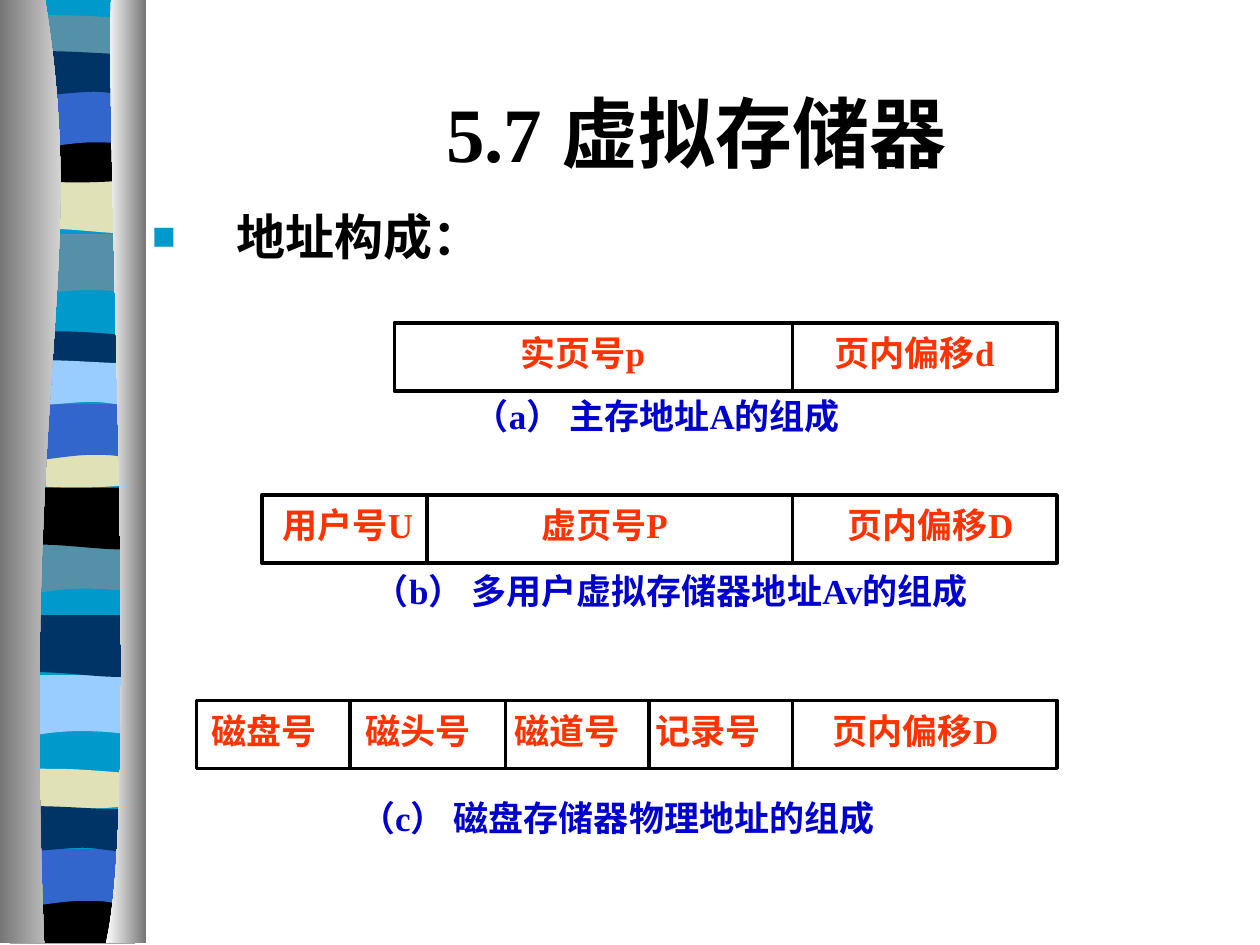
from dataclasses import dataclass

from lxml.etree import SubElement
from pptx import Presentation
from pptx.dml.color import RGBColor
from pptx.enum.shapes import MSO_CONNECTOR as Connector, MSO_SHAPE as Preset
from pptx.enum.text import MSO_ANCHOR as Anchor, PP_ALIGN as Align
from pptx.oxml.ns import qn
from pptx.util import Cm, Pt

COLOURS = {
    "white": "FFFFFF", "black": "000000", "grey": "767676",
    "cyan": "0099CC", "teal": "5490A8", "sand": "E1E1B7", "blue": "3366CC",
    "navy": "003366", "sky": "99CCFF", "label": "FF3300", "caption": "0000CC",
}
SERIF, SANS = "Times New Roman", "Arial"
PAGE_HEIGHT = 19.05
BAND_WIDTH = 2.52
ROW_RIGHT, ROW_HEIGHT = 21.31, 1.37
BOX_HEIGHT = 2.08

# Edge segments of (share of width, drop in cm): one point is a line, three a curve.
# Tops run left to right, bottoms right to left.
FLAT_TOP, FLAT_BOTTOM = (((1, 0),),), (((0, 0),),)
BOWL_TOP = (((0.62, 0.13), (0.79, 0), (1, 0)),)
SAG = (((0.83, 0.13), (0.17, 0.13), (0, 0)),)
EDGES = {
    "wave": (FLAT_TOP, (((0.31, -0.23), (0.17, 0.18), (0, 0)),)),
    "ripple": (FLAT_TOP, (((0.84, 0.18), (0.31, -0.15), (0, 0)),)),
    "lens": ((((0.06, -0.13), (0.21, -0.1), (0.38, -0.1)),
              ((0.56, -0.1), (0.87, -0.03), (1, 0))), SAG),
    "bowl": (BOWL_TOP, SAG),
    "base": (BOWL_TOP, FLAT_BOTTOM),
    "arch": (FLAT_TOP, (((0.85, -0.15), (0.78, -0.15), (0.62, -0.15)),
                        ((0.45, -0.15), (0.16, 0), (0, 0)))),
    "slab": ((((0.14, -0.13), (0.68, 0), (0.85, 0)), ((1.01, 0), (0.97, 0), (1, 0))),
             (((0.94, 0.15), (0.78, 0), (0.62, 0)), ((0.45, 0), (0.11, 0.15), (0, 0)))),
}


@dataclass
class Band:
    edge: str
    colour: str
    left: float
    top: float
    bottom: float


@dataclass
class Label:
    words: str
    left: float
    width: float
    inset: float = 0.25


@dataclass
class Row:
    left: float
    top: float
    dividers: tuple
    labels: tuple


@dataclass
class Caption:
    words: str
    left: float
    top: float
    width: float
    spacing: float = 1.0


BANDS = (
    Band("wave", "teal", 0.3, 4.72, 5.92),
    Band("ripple", "sand", 0.41, 3.43, 4.65),
    Band("lens", "teal", 0.41, 0.41, 1.02),
    Band("bowl", "black", 0.3, 2.74, 3.58),
    Band("arch", "blue", 0.3, 1.8, 3.02),
    Band("slab", "navy", 0.33, 1.09, 1.85),
    Band("wave", "teal", 0.2, 10.77, 11.94),
    Band("ripple", "black", 0.28, 9.83, 11.02),
    Band("lens", "navy", 0.28, 6.78, 7.39),
    Band("bowl", "sand", 0.28, 8.89, 9.73),
    Band("arch", "blue", 0.28, 8.15, 9.32),
    Band("slab", "sky", 0.28, 7.32, 8.1),
    Band("wave", "sky", 0.13, 13.61, 14.81),
    Band("ripple", "navy", 0.23, 12.4, 13.59),
    Band("lens", "sand", 0.2, 15.6, 16.21),
    Band("base", "black", 0.2, 18.08, 19.02),
    Band("arch", "blue", 0.1, 17.12, 18.31),
    Band("slab", "navy", 0.1, 16.31, 17.09),
)
ROWS = (
    Row(7.95, 6.51, (15.98,),
        (Label("实页号p", 10.24, 4.01), Label("页内偏移d", 16.58, 4.67))),
    Row(5.28, 9.98, (8.61, 15.98),
        (Label("用户号U", 5.13, 4.01, 0.57), Label("虚页号P", 10.34, 4.01, 0.57),
         Label("页内偏移D", 16.54, 4.67, 0.55))),
    Row(3.96, 14.12, (7.06, 10.19, 13.08, 15.98),
        (Label("磁盘号", 4.01, 3.33), Label("磁头号", 7.11, 3.33),
         Label("磁道号", 10.13, 3.33), Label("记录号", 12.96, 3.33),
         Label("页内偏移D", 16.54, 4.67))),
)
CAPTIONS = (
    Caption("（a） 主存地址A的组成", 9.3, 7.82, 9.35),
    Caption("（b） 多用户虚拟存储器地址Av的组成", 7.29, 11.35, 13.36),
    Caption("（c） 磁盘存储器物理地址的组成", 7.01, 15.5, 12.01, 1.5),
)


def rgb(name: str) -> RGBColor:
    return RGBColor.from_string(COLOURS[name])


def add_outline(page, start: tuple, segments: list, *colours: str):
    """Closed outline with a plain fill, or a left-to-right gradient of two colours."""
    builder = page.shapes.build_freeform(Cm(start[0]), Cm(start[1]))
    builder.add_line_segments([(Cm(x), Cm(y)) for segment in segments for x, y in segment],
                              close=True)
    shape = builder.convert_to_shape()
    # Join the three points of each curve into one Bezier segment
    lines = iter(list(shape._element.iter(qn("a:lnTo"))))
    for segment in segments:
        first, *others = [next(lines) for _ in segment]
        if others:
            first.tag = qn("a:cubicBezTo")
            for line in others:
                first.append(line[0])
                line.getparent().remove(line)
    shape.shadow.inherit = False
    shape.line.fill.background()
    if len(colours) == 1:
        shape.fill.solid()
        shape.fill.fore_color.rgb = rgb(colours[0])
    else:
        shape.fill.gradient()
        shape.fill.gradient_angle = 0
        for stop, colour in zip(shape.fill.gradient_stops, colours):
            stop.color.rgb = rgb(colour)


def add_band(page, band: Band):
    def place(edge: tuple, y: float) -> list:
        return [[(band.left + BAND_WIDTH * share, y + drop) for share, drop in segment]
                for segment in edge]

    top, bottom = EDGES[band.edge]
    right_side = [(band.left + BAND_WIDTH, band.bottom)]
    add_outline(page, (band.left, band.top),
                [*place(top, band.top), right_side, *place(bottom, band.bottom)], band.colour)


def add_text(page, words: str, left: float, top: float, width: float, height: float,
             size: int, colour: str, font: str = SERIF, align=None,
             spacing: float = 1.0, inset: float = 0.25):
    box = page.shapes.add_textbox(Cm(left), Cm(top), Cm(width), Cm(height))
    frame = box.text_frame
    frame.word_wrap = True
    frame.margin_left = Cm(inset)
    para = frame.paragraphs[0]
    para.text = words
    para.alignment = align
    para.line_spacing = spacing
    para.font.name, para.font.size, para.font.bold = font, Pt(size), True
    para.font.color.rgb = rgb(colour)
    return frame


def add_bullet(para, colour: str, indent: float):
    props = para._p.get_or_add_pPr()
    props.set("marL", str(Cm(indent)))
    props.set("indent", str(-Cm(indent)))
    bullet_colour = SubElement(props, qn("a:buClr"))
    SubElement(bullet_colour, qn("a:srgbClr"), val=COLOURS[colour])
    SubElement(props, qn("a:buSzPct"), val="80000")
    SubElement(props, qn("a:buFont"), typeface=SANS)
    SubElement(props, qn("a:buChar"), char="■")
    # Default run properties come last in the schema order
    for default in props.findall(qn("a:defRPr")):
        props.append(default)


def add_row(page, row: Row):
    frame = page.shapes.add_shape(Preset.RECTANGLE, Cm(row.left), Cm(row.top),
                                  Cm(ROW_RIGHT - row.left), Cm(ROW_HEIGHT))
    frame.shadow.inherit = False
    frame.fill.solid()
    frame.fill.fore_color.rgb = rgb("white")
    dividers = [page.shapes.add_connector(Connector.STRAIGHT, Cm(x), Cm(row.top),
                                          Cm(x), Cm(row.top + ROW_HEIGHT))
                for x in row.dividers]
    for divider in dividers:
        SubElement(divider._element.spPr, qn("a:effectLst"))
    for outlined in (frame, *dividers):
        outlined.line.color.rgb = rgb("black")
        outlined.line.width = Pt(2)
    for label in row.labels:
        add_text(page, label.words, label.left, row.top - 0.37, label.width, BOX_HEIGHT,
                 20, "label", align=Align.JUSTIFY, spacing=1.5, inset=label.inset)


def main():
    deck = Presentation()
    deck.slide_width, deck.slide_height = Cm(25.4), Cm(PAGE_HEIGHT)
    page = deck.slides.add_slide(deck.slide_layouts[6])

    # Striped ribbon between two shaded columns
    add_outline(page, (0.33, 0), [[(2.84, 0)], [(2.84, 18.97)], [(0.33, 18.97)]], "cyan")
    for band in BANDS:
        add_band(page, band)
    add_outline(page, (0.91, 0), [[(1.8, 5.49), (0.43, 7.52), (0.89, 19.02)],
                                  [(0, 19.02)], [(0, 0)]], "grey", "white")
    add_outline(page, (2.24, 0), [[(2.13, 3.18), (2.82, 16.41), (2.13, 19.02)],
                                  [(2.95, 19.02)], [(2.95, 0)]], "white", "grey")

    # Title and heading
    title = add_text(page, "5.7 虚拟存储器", 3.25, 1.27, 21.59, 2.77, 44, "black",
                     align=Align.CENTER)
    title.vertical_anchor = Anchor.MIDDLE
    heading = add_text(page, "地址构成：", 2.82, 4.04, 22.12, 1.88, 28, "black", SANS)
    heading.paragraphs[0].space_before = Pt(7)
    add_bullet(heading.paragraphs[0], "cyan", 1.7)

    # Address layouts and their captions
    for row in ROWS:
        add_row(page, row)
    for caption in CAPTIONS:
        add_text(page, caption.words, caption.left, caption.top, caption.width, BOX_HEIGHT,
                 20, "caption", align=Align.JUSTIFY, spacing=caption.spacing)

    deck.save("out.pptx")


if __name__ == "__main__":
    main()
